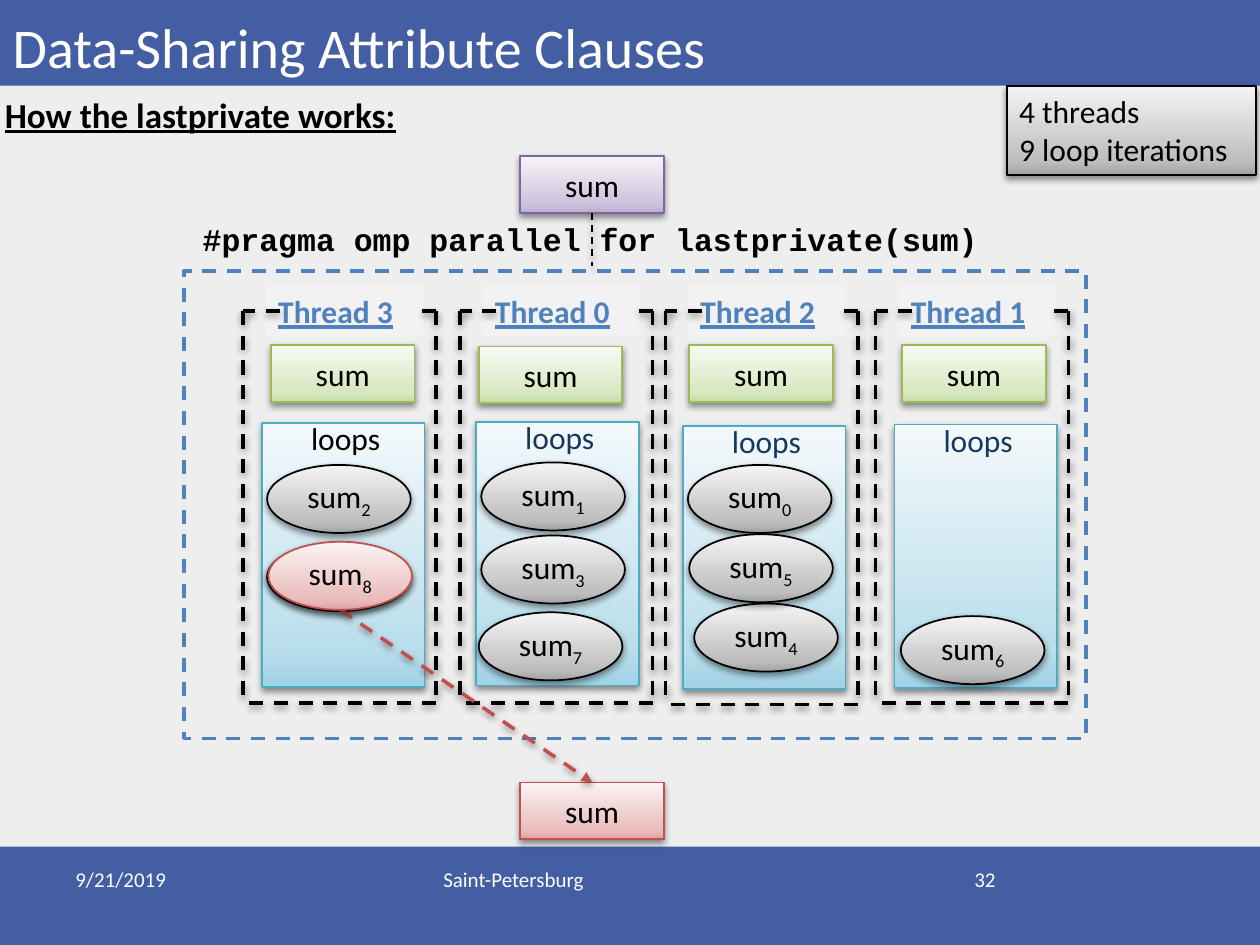
from copy import deepcopy
from dataclasses import dataclass
from typing import Any, NamedTuple, Optional

from lxml.etree import SubElement as sub_el
from pptx import Presentation
from pptx.dml.color import RGBColor as Rgb
from pptx.enum.dml import MSO_LINE as Dash
from pptx.enum.shapes import MSO_CONNECTOR as Wire, MSO_SHAPE as Form
from pptx.enum.text import MSO_ANCHOR as Anchor, MSO_AUTO_SIZE as Fit, PP_ALIGN as Align
from pptx.oxml.ns import qn
from pptx.util import Pt

PX = 9144  # EMU in one px, 100 px to the inch


class Tone(NamedTuple):
    line: str
    stops: tuple[str, str, str]


@dataclass(frozen=True)
class Theme:
    back: str = "EEEEEE"
    band: str = "445EA4"
    white: str = "FFFFFF"
    black: str = "000000"
    blue: str = "4F81BD"
    navy: str = "17375E"
    label: str = "F2F2F2"
    purple: Tone = Tone("8064A2", ("B9ACCD", "CCC2DB", "F6F4F8"))
    green: Tone = Tone("9BBB59", ("C7DDA6", "D6E6BE", "F7FAF4"))
    aqua: Tone = Tone("4BACC6", ("A1D2E5", "BADEEC", "F3F9FB"))
    gray: Tone = Tone("000000", ("A2A2A2", "BDBDBD", "F4F4F4"))
    red: Tone = Tone("C0504D", ("E1A3A2", "E9BCBB", "FBF3F3"))
    font: str = "Calibri"
    code: str = "Courier New"
    title: int = 32
    head: int = 20
    body: int = 18
    foot: int = 12


class Area(NamedTuple):
    x: int
    y: int
    w: int
    h: int


class Loop(NamedTuple):
    num: str
    x: int
    y: int


@dataclass(frozen=True)
class Thread:
    name: str
    left: int
    base: int
    cell: tuple[int, int]
    panel: tuple[int, int]
    loops: tuple[Loop, ...]
    ink: str


T = Theme()
CELL = (114, 45)
OVAL = (114, 54)
THREADS = (
    Thread("Thread 3", 193, 558, (215, 274), (208, 336),
           (Loop("", 212, 431), Loop("2", 212, 369)), T.black),
    Thread("Thread 0", 365, 558, (380, 275), (378, 335),
           (Loop("1", 382, 367), Loop("7", 380, 486), Loop("3", 382, 425)), T.navy),
    Thread("Thread 2", 528, 559, (547, 274), (542, 338),
           (Loop("4", 551, 479), Loop("0", 546, 369), Loop("5", 547, 424)), T.navy),
    Thread("Thread 1", 695, 558, (716, 274), (710, 337),
           (Loop("6", 715, 489),), T.navy),
)


def place(item: Any, area: Area) -> None:
    item.left, item.top, item.width, item.height = (v * PX for v in area)


def write(item: Any, text: str, *, sub: str = "", size: int = T.body, font: str = T.font,
          ink: str = T.black, bold: bool = False, line: bool = False,
          align: Align = Align.LEFT, anchor: Anchor = Anchor.TOP) -> None:
    """Fill a shape with text, one paragraph a line; sub is a subscript at the end."""
    frame = item.text_frame
    frame.text = text
    frame.auto_size = Fit.NONE
    frame.word_wrap = True
    frame.vertical_anchor = anchor
    if sub:
        run = frame.paragraphs[-1].add_run()
        run.text = sub
        run._r.get_or_add_rPr().set("baseline", "-25000")
    for para in frame.paragraphs:
        para.alignment = align
        for run in para.runs:
            face = run.font
            face.name, face.size, face.bold, face.underline = font, Pt(size), bold, line
            face.color.rgb = Rgb.from_string(ink)


def note(shapes: Any, area: Area, text: str, **form: Any) -> Any:
    item = shapes.add_textbox(*(v * PX for v in area))
    write(item, text, **form)
    return item


def shade(item: Any) -> None:
    """Give a shape or connector the soft shadow below it."""
    props = item._element.spPr
    list_el = props.find(qn("a:effectLst"))
    if list_el is None:
        list_el = sub_el(props, qn("a:effectLst"))
    cast = sub_el(list_el, qn("a:outerShdw"), blurRad=str(Pt(4)), dist=str(Pt(2)),
                  dir="5400000", rotWithShape="0")
    color = sub_el(cast, qn("a:srgbClr"), val=T.black)
    sub_el(color, qn("a:alpha"), val="43000")


def plain(shapes: Any, area: Area, fill: Optional[str] = None) -> Any:
    item = shapes.add_shape(Form.RECTANGLE, *(v * PX for v in area))
    item.shadow.inherit = False
    item.line.fill.background()
    if fill:
        item.fill.solid()
        item.fill.fore_color.rgb = Rgb.from_string(fill)
    else:
        item.fill.background()
    return item


def block(shapes: Any, area: Area, tone: Tone, form: Form = Form.RECTANGLE) -> Any:
    """Draw a shaded shape with a three-stop gradient rising from its base."""
    item = shapes.add_shape(form, *(v * PX for v in area))
    item.shadow.inherit = False
    fill = item.fill
    fill.gradient()
    fill.gradient_angle = 90
    stops = item._element.spPr.find(".//" + qn("a:gsLst"))
    stops.append(deepcopy(stops[-1]))
    for stop, color, part in zip(fill.gradient_stops, tone.stops, (0, 0.15, 1)):
        stop.color.rgb = Rgb.from_string(color)
        stop.position = part
    item.line.color.rgb = Rgb.from_string(tone.line)
    item.line.width = Pt(1)
    shade(item)
    return item


def value(shapes: Any, x: int, y: int, tone: Tone, sub: str = "", oval: bool = False) -> Any:
    """Draw one copy of the sum variable."""
    item = block(shapes, Area(x, y, *(OVAL if oval else CELL)), tone,
                 Form.OVAL if oval else Form.RECTANGLE)
    write(item, "sum", sub=sub, align=Align.CENTER, anchor=Anchor.MIDDLE)
    return item


def wire(shapes: Any, x1: int, y1: int, x2: int, y2: int, *, ink: str = T.black,
         wide: int = 2, head: bool = False) -> Any:
    item = shapes.add_connector(Wire.STRAIGHT, x1 * PX, y1 * PX, x2 * PX, y2 * PX)
    item.line.color.rgb = Rgb.from_string(ink)
    item.line.width = Pt(wide)
    item.line.dash_style = Dash.DASH
    if head:
        sub_el(item.line._get_or_add_ln(), qn("a:tailEnd"), type="triangle")
    shade(item)
    return item


def draw(shapes: Any, thread: Thread) -> None:
    frame = shapes.add_group_shape().shapes
    left, right, top, base = thread.left, thread.left + 153, 247, thread.base
    label = plain(frame, Area(left + 18, 227, 125, 40), T.label)
    write(label, thread.name, ink=T.blue, bold=True, line=True)
    for ends in ((left, top, left, base), (right, top, right, base),
                 (right, base, left, base), (left + 29, top, left, top),
                 (right, top, right - 19, top)):
        wire(frame, *ends)
    value(shapes, *thread.cell, T.green)
    work = shapes.add_group_shape().shapes
    x, y = thread.panel
    block(work, Area(x, y, 129, 209), T.aqua)
    for loop in thread.loops:
        if loop.num:
            value(work, loop.x, loop.y, T.gray, loop.num, oval=True)
        else:
            block(work, Area(loop.x, loop.y, *OVAL), T.gray, Form.OVAL)
    note(work, Area(x + 29, y - 8, 81, 40), "loops", ink=thread.ink)


def main() -> None:
    deck = Presentation()
    deck.slide_width, deck.slide_height = 1000 * PX, 750 * PX
    slide = deck.slides.add_slide(deck.slide_layouts[5])
    slide.background.fill.solid()
    slide.background.fill.fore_color.rgb = Rgb.from_string(T.back)
    shapes = slide.shapes

    for band in (Area(0, 672, 1000, 78), Area(0, 0, 1000, 68)):
        plain(shapes, band, T.band)
    title = shapes.title
    shapes._spTree.append(title._element)  # above the bands
    place(title, Area(0, -21, 1000, 89))
    write(title, "Data-Sharing Attribute Clauses", size=T.title, ink=T.white,
          anchor=Anchor.BOTTOM)
    for x, w, text, align in ((50, 233, "9/21/2019", Align.LEFT),
                              (717, 83, "32", Align.RIGHT),
                              (342, 317, "Saint-Petersburg", Align.LEFT)):
        note(shapes, Area(x, 683, w, 52), text, size=T.foot, ink=T.white, align=align)

    region = plain(shapes, Area(146, 215, 716, 371))
    region.line.color.rgb = Rgb.from_string(T.blue)
    region.line.width = Pt(2)
    region.line.dash_style = Dash.DASH
    source = value(shapes, 413, 124, T.purple)
    note(shapes, Area(151, 170, 795, 46), "#pragma omp parallel for lastprivate(sum)",
         font=T.code, bold=True)
    wire(shapes, 470, 169, 470, 211, wide=1).begin_connect(source, 2)
    note(shapes, Area(-6, 69, 375, 44), "How the lastprivate works:",
         size=T.head, bold=True, line=True)

    for thread in THREADS:
        draw(shapes, thread)

    result = value(shapes, 413, 621, T.red)
    arrow = wire(shapes, 270, 484, 470, 621, ink=T.red.line, head=True)
    arrow.end_connect(result, 0)
    value(shapes, 213, 430, T.red, "8", oval=True)
    write(block(shapes, Area(799, 68, 198, 71), T.gray), "4 threads\n9 loop iterations")
    deck.save("out.pptx")


if __name__ == "__main__":
    main()
